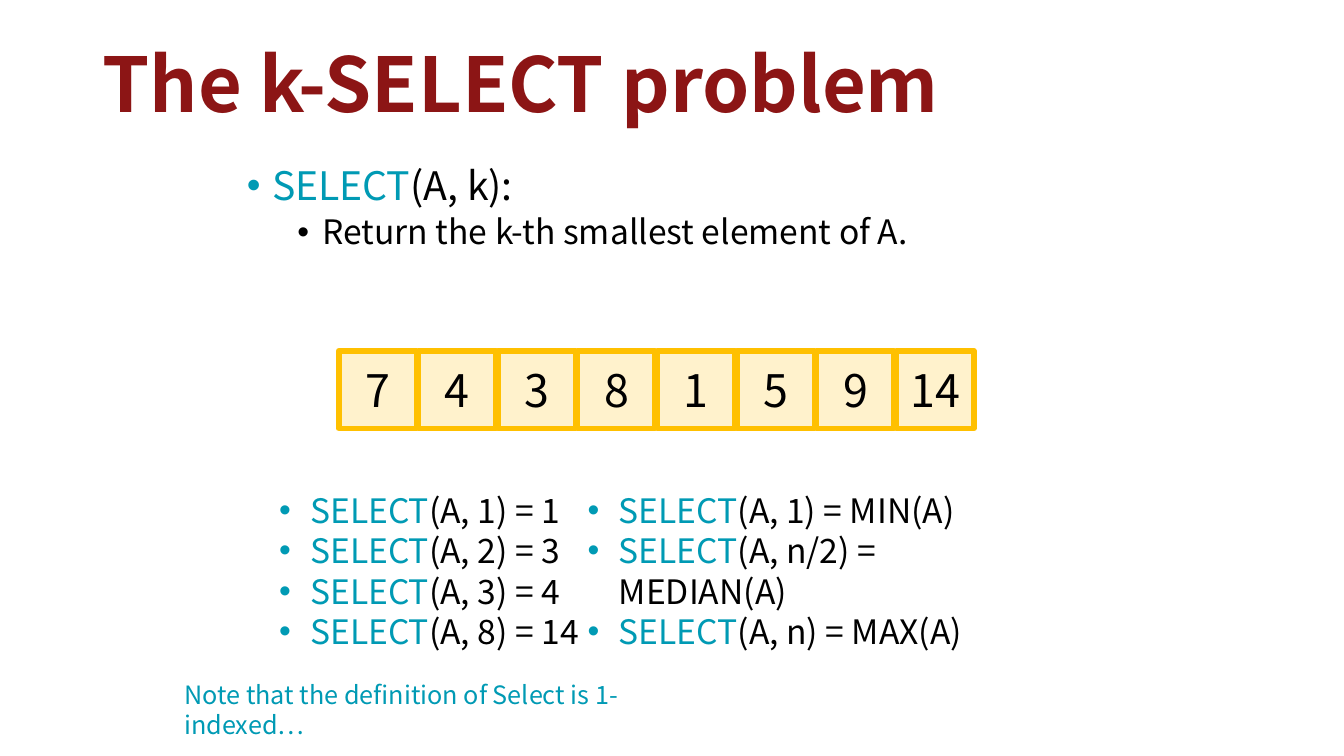
from lxml import etree
from pptx import Presentation
from pptx.dml.color import RGBColor
from pptx.enum.shapes import MSO_SHAPE
from pptx.enum.text import MSO_ANCHOR, PP_ALIGN
from pptx.oxml.ns import qn
from pptx.util import Inches, Pt

RECTANGLE = MSO_SHAPE.RECTANGLE
MIDDLE = MSO_ANCHOR.MIDDLE
CENTER = PP_ALIGN.CENTER
FONT = "Noto Sans CJK SC"
TEAL = "009AB4"
BLACK = "000000"


def color(hex_string):
    return RGBColor.from_string(hex_string)


def write(paragraph, runs, size, indent=None, hanging=0.25):
    if indent is not None:
        properties = paragraph._p.get_or_add_pPr()
        properties.set("marL", str(Inches(indent)))
        properties.set("indent", str(-Inches(hanging)))
        etree.SubElement(properties, qn("a:buFont")).set("typeface", "Arial")
        etree.SubElement(properties, qn("a:buChar")).set("char", "•")
    paragraph.font.name = FONT
    paragraph.font.size = Pt(size)
    for text, hex_string in runs:
        run = paragraph.add_run()
        run.text = text
        run.font.color.rgb = color(hex_string)


presentation = Presentation()
presentation.slide_width = Inches(13.33)
presentation.slide_height = Inches(7.5)
slide = presentation.slides.add_slide(presentation.slide_layouts[6])

title = slide.shapes.add_textbox(Inches(0.92), Inches(0.15), Inches(11.5), Inches(1.45))
title.text_frame.word_wrap = True
title.text_frame.vertical_anchor = MIDDLE
paragraph = title.text_frame.paragraphs[0]
paragraph.line_spacing = 0.9
write(paragraph, [("The k-SELECT problem", "8C1515")], 54)
paragraph.font.bold = True

definition = slide.shapes.add_textbox(Inches(2.35), Inches(1.6), Inches(8.62), Inches(1.3))
definition.text_frame.word_wrap = True
paragraph = definition.text_frame.paragraphs[0]
paragraph.line_spacing = 0.9
write(paragraph, [("SELECT", TEAL), ("(A, k):", BLACK)], 28, 0.25)
paragraph = definition.text_frame.add_paragraph()
paragraph.level = 1
paragraph.line_spacing = 0.9
paragraph.space_before = Pt(5)
write(paragraph, [("Return the k-th smallest element of A.", BLACK)], 24, 0.75)

for index, value in enumerate([7, 4, 3, 8, 1, 5, 9, 14]):
    cell = slide.shapes.add_shape(
        RECTANGLE, Inches(3.36 + 0.79 * index), Inches(3.48), Inches(0.77), Inches(0.77))
    cell.shadow.inherit = False
    cell.fill.solid()
    cell.fill.fore_color.rgb = color("FFF2CC")
    cell.line.color.rgb = color("FFC000")
    cell.line.width = Pt(4)
    cell.text_frame.vertical_anchor = MIDDLE
    paragraph = cell.text_frame.paragraphs[0]
    paragraph.alignment = CENTER
    write(paragraph, [(str(value), BLACK)], 32)

example_lists = [
    (5.73, 4.65, 1.31, ["(A, 1) = MIN(A)", "(A, n/2) = MEDIAN(A)", "(A, n) = MAX(A)"]),
    (2.67, 3.63, 1.72, ["(A, 1) = 1", "(A, 2) = 3", "(A, 3) = 4", "(A, 8) = 14"]),
]
for left, width, height, examples in example_lists:
    box = slide.shapes.add_textbox(Inches(left), Inches(4.81), Inches(width), Inches(height))
    box.text_frame.word_wrap = True
    for index, example in enumerate(examples):
        paragraph = box.text_frame.add_paragraph() if index else box.text_frame.paragraphs[0]
        write(paragraph, [("SELECT", TEAL), (example, BLACK)], 24, 0.31, 0.31)

note = slide.shapes.add_textbox(Inches(1.73), Inches(6.69), Inches(5.62), Inches(0.4))
note.text_frame.word_wrap = True
write(note.text_frame.paragraphs[0],
      [("Note that the definition of Select is 1-indexed…", TEAL)], 18)

presentation.save("out.pptx")
